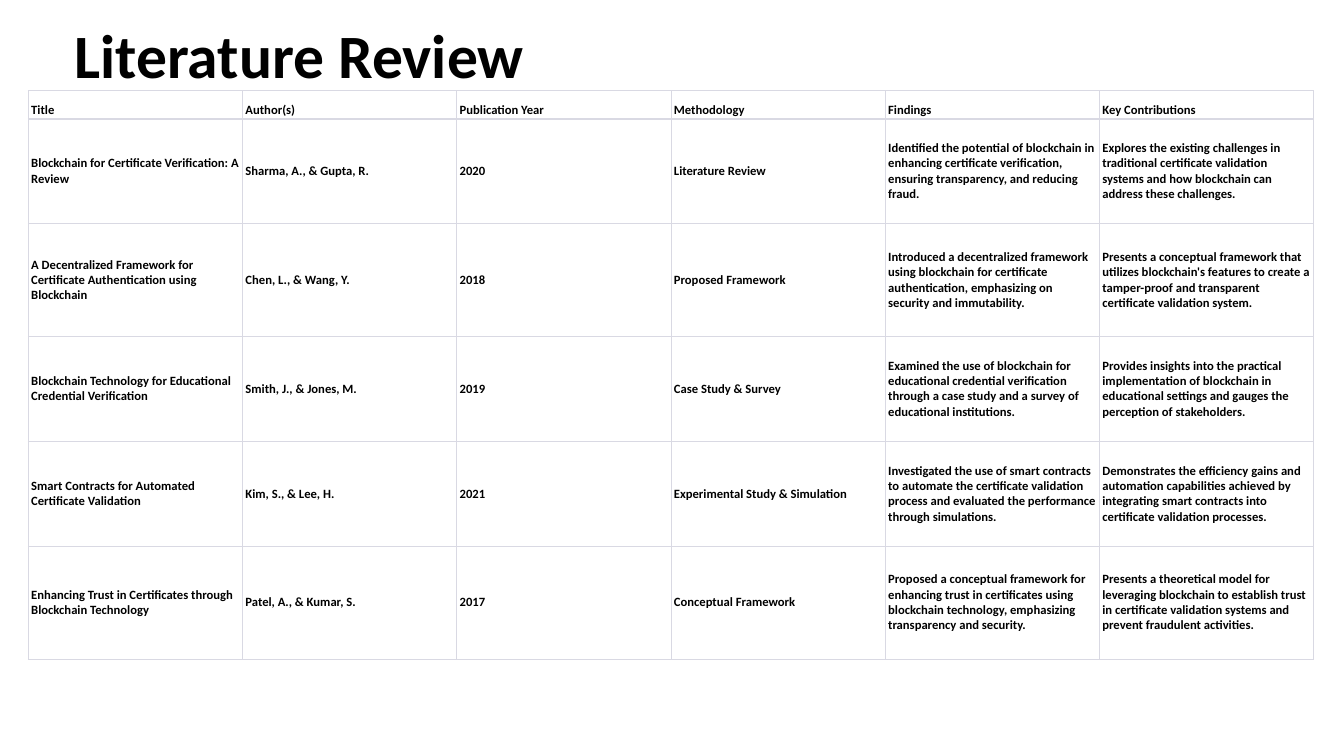
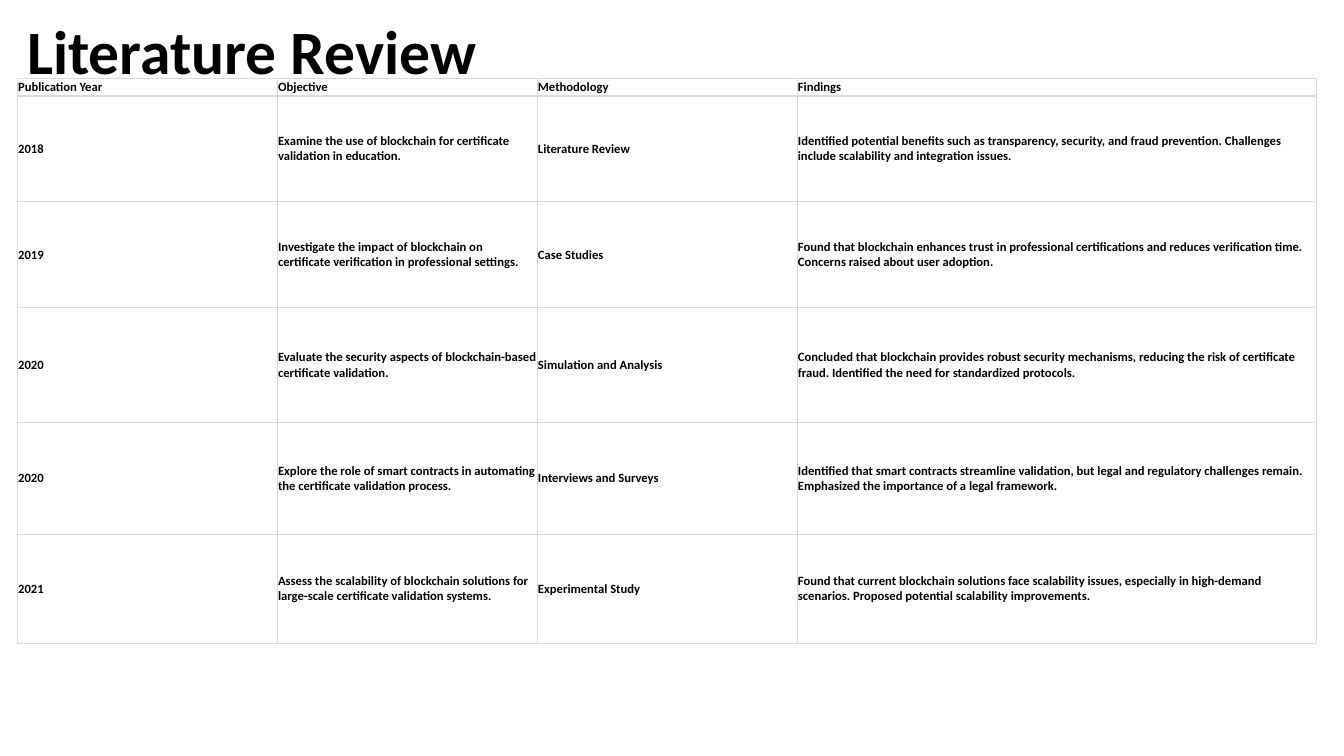
from lxml import etree
from pptx import Presentation
from pptx.dml.color import RGBColor
from pptx.enum.text import MSO_ANCHOR, MSO_AUTO_SIZE, PP_ALIGN
from pptx.oxml.ns import qn
from pptx.util import Inches, Pt

MIDDLE, BOTTOM = MSO_ANCHOR.MIDDLE, MSO_ANCHOR.BOTTOM
LEFT = PP_ALIGN.LEFT
NO_AUTOFIT = MSO_AUTO_SIZE.NONE
TITLE_ONLY = 5


def rgb(value):
    return RGBColor.from_string(value)


class ReviewDeck:
    FONT = "Calibri"
    INK = "000000"
    RULE = "D9D9E3"
    THIN, THICK = 0.6, 1
    TITLE_SIZE, CELL_SIZE = 44, 9
    TITLE_WIDTH, TITLE_HEIGHT = 11.5, 1.45

    def __init__(self):
        self.prs = Presentation()
        self.prs.slide_width = Inches(13.33)
        self.prs.slide_height = Inches(7.5)
        self.slide = None

    def new_slide(self):
        self.slide = self.prs.slides.add_slide(self.prs.slide_layouts[TITLE_ONLY])

    def add_text(self, frame, text, size):
        paragraph = frame.paragraphs[0]
        paragraph.alignment = LEFT
        run = paragraph.add_run()
        run.text = text
        run.font.name = self.FONT
        run.font.size = Pt(size)
        run.font.bold = True
        run.font.color.rgb = rgb(self.INK)
        return paragraph

    def title(self, text, left, top):
        heading = self.slide.shapes.title
        heading.left, heading.top = Inches(left), Inches(top)
        heading.width = Inches(self.TITLE_WIDTH)
        heading.height = Inches(self.TITLE_HEIGHT)
        frame = heading.text_frame
        frame.word_wrap = True
        frame.auto_size = NO_AUTOFIT
        frame.vertical_anchor = MIDDLE
        self.add_text(frame, text, self.TITLE_SIZE).line_spacing = 0.9

    def borders(self, cell, top, bottom):
        props = cell._tc.get_or_add_tcPr()
        sides = {"a:lnL": self.THIN, "a:lnR": self.THIN, "a:lnT": top, "a:lnB": bottom}
        for tag, points in sides.items():
            line = etree.SubElement(props, qn(tag), w=str(Pt(points)))
            fill = etree.SubElement(line, qn("a:solidFill"))
            etree.SubElement(fill, qn("a:srgbClr"), val=self.RULE)

    def table(self, rows, left, top, width, column_shares, row_heights, side_inset):
        """Columns split the width by their shares; inner row rules are thicker."""
        grid = self.slide.shapes.add_table(
            len(rows), len(column_shares), Inches(left), Inches(top),
            Inches(width), Inches(sum(row_heights))).table
        grid.horz_banding = False
        for column, share in zip(grid.columns, column_shares):
            column.width = Inches(width * share / sum(column_shares))
        last = len(rows) - 1
        for r, (texts, height) in enumerate(zip(rows, row_heights)):
            grid.rows[r].height = Inches(height)
            for c, text in enumerate(texts):
                cell = grid.cell(r, c)
                cell.margin_left = cell.margin_right = Inches(side_inset)
                cell.margin_top = cell.margin_bottom = Inches(0.01)
                cell.vertical_anchor = MIDDLE if r else BOTTOM
                self.borders(cell, self.THICK if r else self.THIN,
                             self.THICK if r < last else self.THIN)
                cell.fill.background()
                self.add_text(cell.text_frame, text, self.CELL_SIZE)


PAPERS = [
    ("Title", "Author(s)", "Publication Year", "Methodology", "Findings",
     "Key Contributions"),
    ("Blockchain for Certificate Verification: A Review",
     "Sharma, A., & Gupta, R.", "2020", "Literature Review",
     "Identified the potential of blockchain in enhancing certificate verification, "
     "ensuring transparency, and reducing fraud.",
     "Explores the existing challenges in traditional certificate validation systems "
     "and how blockchain can address these challenges."),
    ("A Decentralized Framework for Certificate Authentication using Blockchain",
     "Chen, L., & Wang, Y.", "2018", "Proposed Framework",
     "Introduced a decentralized framework using blockchain for certificate "
     "authentication, emphasizing on security and immutability.",
     "Presents a conceptual framework that utilizes blockchain's features to create a "
     "tamper-proof and transparent certificate validation system."),
    ("Blockchain Technology for Educational Credential Verification",
     "Smith, J., & Jones, M.", "2019", "Case Study & Survey",
     "Examined the use of blockchain for educational credential verification through "
     "a case study and a survey of educational institutions.",
     "Provides insights into the practical implementation of blockchain in "
     "educational settings and gauges the perception of stakeholders."),
    ("Smart Contracts for Automated Certificate Validation",
     "Kim, S., & Lee, H.", "2021", "Experimental Study & Simulation",
     "Investigated the use of smart contracts to automate the certificate validation "
     "process and evaluated the performance through simulations.",
     "Demonstrates the efficiency gains and automation capabilities achieved by "
     "integrating smart contracts into certificate validation processes."),
    ("Enhancing Trust in Certificates through Blockchain Technology",
     "Patel, A., & Kumar, S.", "2017", "Conceptual Framework",
     "Proposed a conceptual framework for enhancing trust in certificates using "
     "blockchain technology, emphasizing transparency and security.",
     "Presents a theoretical model for leveraging blockchain to establish trust in "
     "certificate validation systems and prevent fraudulent activities."),
]

OBJECTIVES = [
    ("Publication Year", "Objective", "Methodology", "Findings"),
    ("2018",
     "Examine the use of blockchain for certificate validation in education.",
     "Literature Review",
     "Identified potential benefits such as transparency, security, and fraud "
     "prevention. Challenges include scalability and integration issues."),
    ("2019",
     "Investigate the impact of blockchain on certificate verification in "
     "professional settings.",
     "Case Studies",
     "Found that blockchain enhances trust in professional certifications and reduces "
     "verification time. Concerns raised about user adoption."),
    ("2020",
     "Evaluate the security aspects of blockchain-based certificate validation.",
     "Simulation and Analysis",
     "Concluded that blockchain provides robust security mechanisms, reducing the "
     "risk of certificate fraud. Identified the need for standardized protocols."),
    ("2020",
     "Explore the role of smart contracts in automating the certificate validation "
     "process.",
     "Interviews and Surveys",
     "Identified that smart contracts streamline validation, but legal and regulatory "
     "challenges remain. Emphasized the importance of a legal framework."),
    ("2021",
     "Assess the scalability of blockchain solutions for large-scale certificate "
     "validation systems.",
     "Experimental Study",
     "Found that current blockchain solutions face scalability issues, especially in "
     "high-demand scenarios. Proposed potential scalability improvements."),
]


def main():
    deck = ReviewDeck()

    # Papers by author
    deck.new_slide()
    deck.title("Literature Review", 0.64, -0.14)
    deck.table(PAPERS, 0.28, 0.9, 12.75, [1] * 6,
               [0.28, 1.04, 1.12, 1.04, 1.04, 1.12], side_inset=0.03)

    # Studies by objective
    deck.new_slide()
    deck.title("Literature Review", 0.17, -0.18)
    deck.table(OBJECTIVES, 0.17, 0.78, 12.89, [1, 1, 1, 2],
               [0.16, 1.05, 1.05, 1.14, 1.11, 1.08], side_inset=0.01)

    deck.prs.save("out.pptx")


if __name__ == "__main__":
    main()
